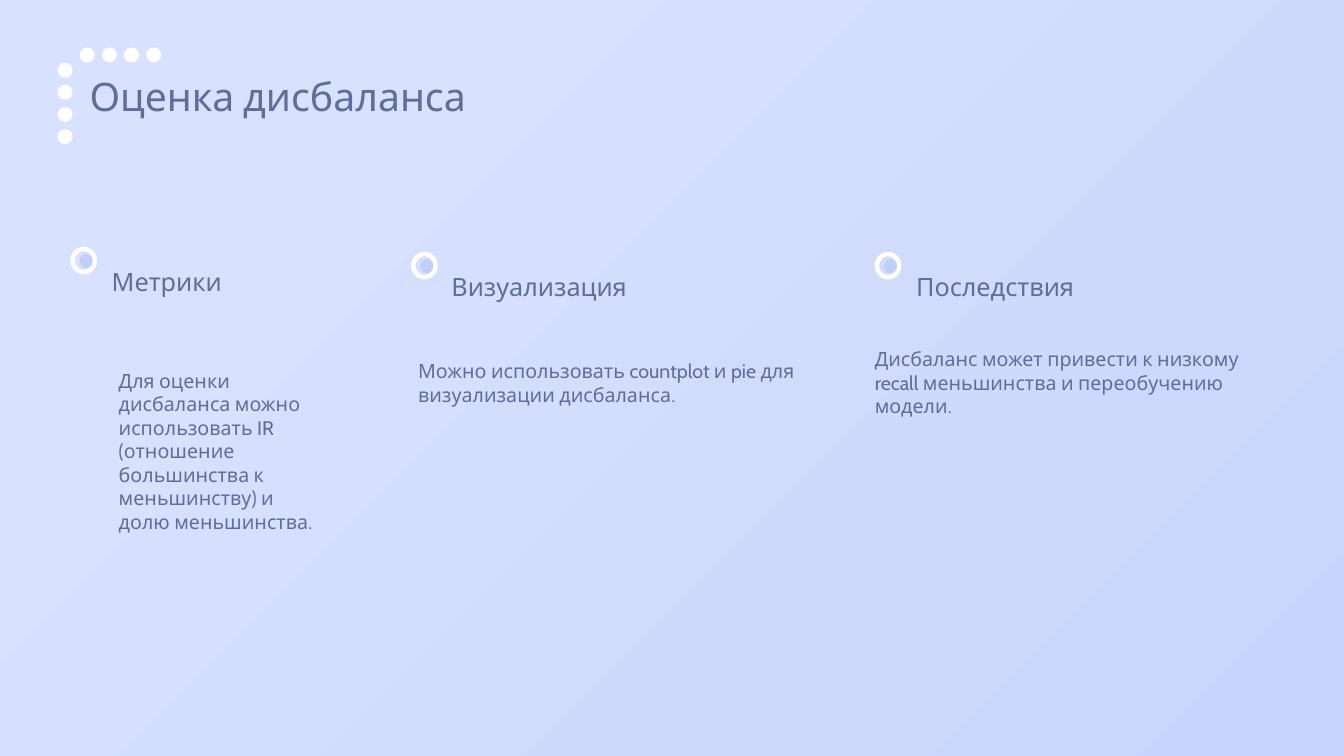
import dataclasses

import pptx
import pptx.dml.color
import pptx.enum.shapes
import pptx.enum.text
import pptx.shapes.autoshape
import pptx.slide
import pptx.util

ALIGN = pptx.enum.text.PP_ALIGN
ANCHOR = pptx.enum.text.MSO_ANCHOR

# The page is a grid of square cells, a tenth of an inch each
CELL = 0.1
COLUMNS, ROWS = 133.33, 75


@dataclasses.dataclass(frozen=True)
class Theme:
    font: str = "Cabin"
    ink: str = "606C9A"
    white: str = "FFFFFF"
    marker: str = "C1CEF6"
    sky_light: str = "D8E1FD"
    sky_deep: str = "C7D5FC"
    title_size: float = 28
    heading_size: float = 18
    body_size: float = 14
    ring_width: float = 3.25


@dataclasses.dataclass(frozen=True)
class Area:
    column: float
    row: float
    columns: float
    rows: float


@dataclasses.dataclass(frozen=True)
class Topic:
    marker_column: float
    marker_row: float
    heading: str
    heading_area: Area
    body: str
    body_area: Area


THEME = Theme()

TOPICS = [
    Topic(7.2, 24.7,
          "Метрики", Area(10.1, 22.7, 22.4, 10.4),
          "Для оценки дисбаланса можно использовать IR "
          "(отношение большинства к меньшинству) и долю меньшинства.",
          Area(10.8, 31.3, 21.7, 26.9)),
    Topic(41, 25.2,
          "Визуализация", Area(43.8, 24.7, 37.3, 7.4),
          "Можно использовать countplot и pie для визуализации дисбаланса.",
          Area(40.5, 30.4, 40.7, 15.1)),
    Topic(87, 25.2,
          "Последствия", Area(89.9, 24.7, 37.3, 7.4),
          "Дисбаланс может привести к низкому recall меньшинства "
          "и переобучению модели.",
          Area(85.8, 30.4, 40.7, 15.1)),
]


def cells(count: float) -> pptx.util.Length:
    return pptx.util.Inches(count * CELL)


def color(code: str) -> pptx.dml.color.RGBColor:
    return pptx.dml.color.RGBColor.from_string(code)


def paint_background(page: pptx.slide.Slide) -> None:
    fill = page.background.fill
    fill.gradient()
    fill.gradient_angle = 315
    stops = [(0.22, THEME.sky_light), (1, THEME.sky_deep)]
    for stop, (position, code) in zip(fill.gradient_stops, stops):
        stop.position = position
        stop.color.rgb = color(code)


def add_ellipse(page: pptx.slide.Slide, area: Area) -> pptx.shapes.autoshape.Shape:
    ellipse = page.shapes.add_shape(
        pptx.enum.shapes.MSO_SHAPE.OVAL,
        cells(area.column), cells(area.row), cells(area.columns), cells(area.rows))
    ellipse.shadow.inherit = False
    return ellipse


def add_dot(page: pptx.slide.Slide, area: Area, code: str) -> None:
    dot = add_ellipse(page, area)
    dot.fill.solid()
    dot.fill.fore_color.rgb = color(code)
    dot.line.fill.background()


def add_ring(page: pptx.slide.Slide, area: Area) -> None:
    ring = add_ellipse(page, area)
    ring.fill.background()
    ring.line.color.rgb = color(THEME.white)
    ring.line.width = pptx.util.Pt(THEME.ring_width)


def add_text(page: pptx.slide.Slide, area: Area, text: str, size: float,
             align: ALIGN, anchor: ANCHOR) -> None:
    box = page.shapes.add_textbox(
        cells(area.column), cells(area.row), cells(area.columns), cells(area.rows))
    frame = box.text_frame
    frame.word_wrap = True
    frame.vertical_anchor = anchor
    para = frame.paragraphs[0]
    para.alignment = align
    span = para.add_run()
    span.text = text
    span.font.name = THEME.font
    span.font.size = pptx.util.Pt(size)
    span.font.color.rgb = color(THEME.ink)


def add_corner_dots(page: pptx.slide.Slide) -> None:
    size, step = 1.5, 2.2
    for index in range(4):
        add_dot(page, Area(7.9 + index * step, 4.7, size, size), THEME.white)
        add_dot(page, Area(5.7, 6.2 + index * step, size, size), THEME.white)


def add_topic(page: pptx.slide.Slide, topic: Topic) -> None:
    column, row = topic.marker_column, topic.marker_row
    add_ring(page, Area(column, row, 2.2, 2.3))
    add_dot(page, Area(column + 0.7, row + 0.5, 1.3, 1.4), THEME.marker)
    add_text(page, topic.heading_area, topic.heading, THEME.heading_size,
             ALIGN.JUSTIFY, ANCHOR.MIDDLE)
    add_text(page, topic.body_area, topic.body, THEME.body_size,
             ALIGN.LEFT, ANCHOR.MIDDLE)


def main() -> None:
    deck = pptx.Presentation()
    deck.slide_width, deck.slide_height = cells(COLUMNS), cells(ROWS)
    page = deck.slides.add_slide(deck.slide_layouts[6])
    paint_background(page)

    # Title with its corner of dots
    add_corner_dots(page)
    add_text(page, Area(7.9, 6.7, 116.8, 16.6), "Оценка дисбаланса",
             THEME.title_size, ALIGN.JUSTIFY, ANCHOR.TOP)

    # Three topics
    for topic in TOPICS:
        add_topic(page, topic)

    deck.save("out.pptx")


if __name__ == "__main__":
    main()
